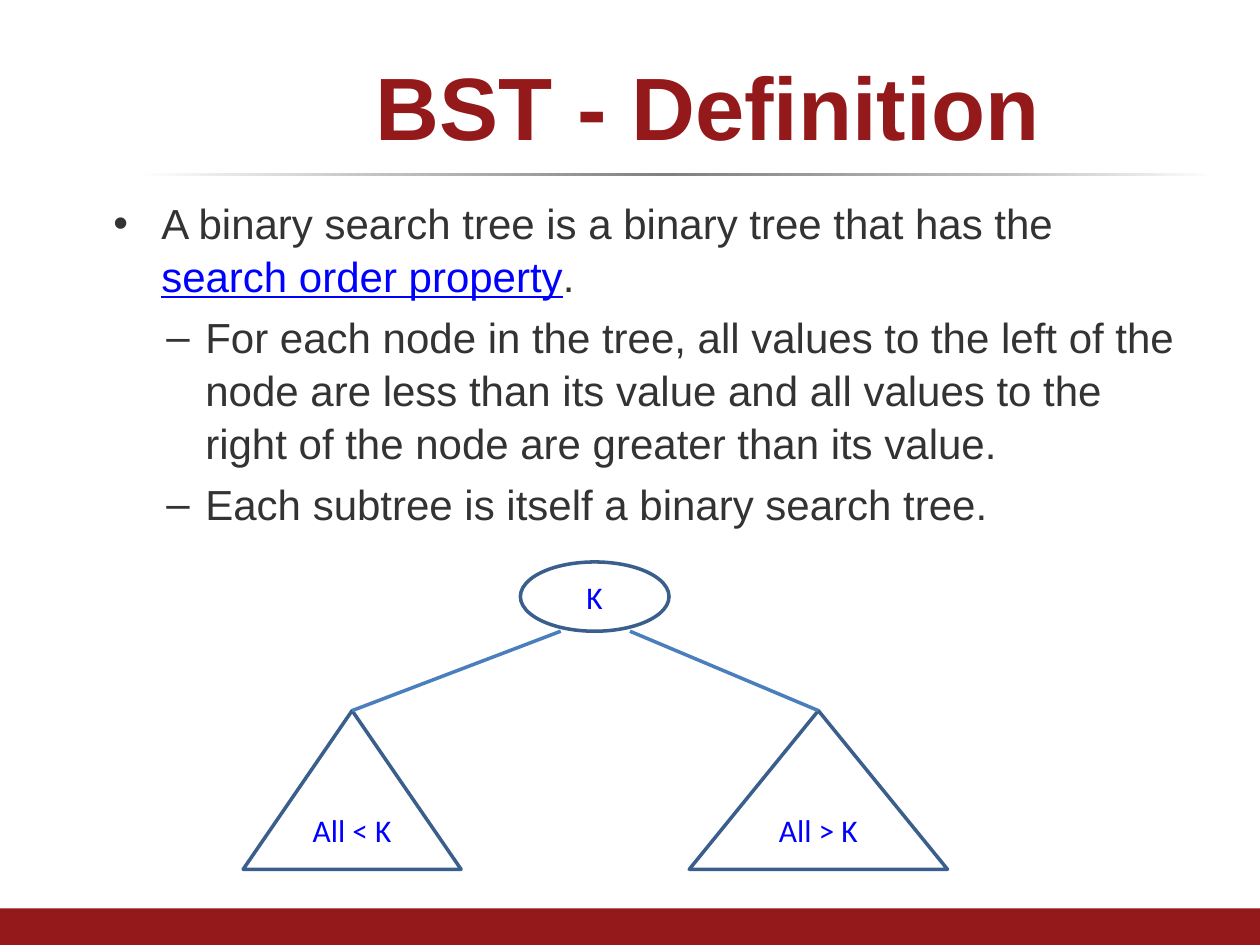
from dataclasses import dataclass

from lxml import etree
from pptx import Presentation
from pptx.dml.color import RGBColor
from pptx.enum import shapes, text
from pptx.oxml import ns
from pptx.util import Inches, Pt


@dataclass(frozen=True)
class Theme:
    heading_font: str = "Arial"
    label_font: str = "Calibri"
    title_size: float = 50.6
    body_size: float = 24
    label_size: float = 18
    line_width: float = 2
    red: str = "93191B"
    ink: str = "333333"
    blue: str = "0000FF"
    outline: str = "3A5F8C"
    branch: str = "4B7EBC"
    rule_stops: tuple = ((0, "FFFFFF"), (24, "BFBFBF"), (49, "808080"),
                         (80, "BFBFBF"), (100, "FFFFFF"))


def apply(target, values):
    for name, value in values.items():
        setattr(target, name, value)


def add_xml(parent, tag, **attributes):
    return etree.SubElement(parent, ns.qn(tag), attributes)


class SlideBuilder:
    def __init__(self, page, theme):
        self.page = page
        self.theme = theme

    def place(self, shape, area):
        names = ("left", "top", "width", "height")
        apply(shape, dict(zip(names, map(Inches, area))))

    def span(self, para, words, size, color, font, **values):
        span = para.add_run()
        span.text = words
        apply(span.font, {"size": Pt(size), "name": font, **values})
        span.font.color.rgb = RGBColor.from_string(color)

    def title(self, words, area):
        box = self.page.shapes.title
        self.place(box, area)
        frame = box.text_frame
        frame.vertical_anchor = text.MSO_ANCHOR.MIDDLE
        para = frame.paragraphs[0]
        para.alignment = text.PP_ALIGN.CENTER
        self.span(para, words, self.theme.title_size, self.theme.red,
                  self.theme.heading_font, bold=True)

    def body(self, items, area):
        box = self.page.placeholders[1]
        self.place(box, area)
        styles = (("•", 0.68, -0.38), ("–", 1.03, -0.31))
        for index, (level, pieces) in enumerate(items):
            frame = box.text_frame
            para = frame.add_paragraph() if index else frame.paragraphs[0]
            mark, margin, indent = styles[level]
            properties = para._p.get_or_add_pPr()
            properties.set("marL", str(Inches(margin)))
            properties.set("indent", str(Inches(indent)))
            add_xml(properties, "a:buFont", typeface=self.theme.heading_font)
            add_xml(properties, "a:buChar", char=mark)
            apply(para, {"level": level, "line_spacing": 1.05,
                         "space_before": Pt(4.8 if index else 0)})
            for words, color, underline in pieces:
                self.span(para, words, self.theme.body_size, color,
                          self.theme.heading_font, underline=underline)

    def shape(self, kind, area):
        shape = self.page.shapes.add_shape(kind, *map(Inches, area))
        shape.shadow.inherit = False
        return shape

    def band(self, area):
        band = self.shape(shapes.MSO_SHAPE.RECTANGLE, area)
        band.fill.solid()
        band.fill.fore_color.rgb = RGBColor.from_string(self.theme.red)
        band.line.fill.background()

    def rule(self, area):
        rule = self.shape(shapes.MSO_SHAPE.RECTANGLE, area)
        rule.line.fill.background()
        rule.fill.gradient()
        rule.fill.gradient_angle = 0
        stops = rule._element.spPr.find(ns.qn("a:gradFill")).find(ns.qn("a:gsLst"))
        for stop in list(stops):
            stops.remove(stop)
        for percent, color in self.theme.rule_stops:
            stop = add_xml(stops, "a:gs", pos=str(percent * 1000))
            add_xml(stop, "a:srgbClr", val=color)

    def stroke(self, line, color):
        line.color.rgb = RGBColor.from_string(color)
        line.width = Pt(self.theme.line_width)

    def node(self, kind, words, area):
        node = self.shape(kind, area)
        node.fill.background()
        self.stroke(node.line, self.theme.outline)
        frame = node.text_frame
        frame.vertical_anchor = text.MSO_ANCHOR.MIDDLE
        para = frame.paragraphs[0]
        para.alignment = text.PP_ALIGN.CENTER
        self.span(para, words, self.theme.label_size, self.theme.blue,
                  self.theme.label_font)
        return node

    def branch(self, start, subtree):
        x, y = map(Inches, start)
        branch = self.page.shapes.add_connector(
            shapes.MSO_CONNECTOR.STRAIGHT, x, y, x, y)
        branch.end_connect(subtree, 0)
        self.stroke(branch.line, self.theme.branch)
        add_xml(branch._element.spPr, "a:effectLst")


def main():
    deck = Presentation()
    deck.slide_width, deck.slide_height = Inches(10), Inches(7.5)
    theme = Theme()
    builder = SlideBuilder(deck.slides.add_slide(deck.slide_layouts[1]), theme)

    builder.rule((1.08, 1.37, 8.58, 0.03))
    builder.band((0, 7.21, 10, 0.29))
    builder.title("BST - Definition", (1.12, 0.3, 9, 1.07))
    builder.body([
        (0, [("A binary search tree is a binary tree that has the ", theme.ink, False),
             ("search order property", theme.blue, True),
             (".", theme.ink, False)]),
        (1, [("For each node in the tree, all values to the left of the node are "
              "less than its value and all values to the right of the node are "
              "greater than its value.", theme.ink, False)]),
        (1, [("Each subtree is itself a binary search tree.", theme.ink, False)]),
    ], (0.5, 1.5, 9, 5.67))

    builder.node(shapes.MSO_SHAPE.OVAL, "K", (4.13, 4.46, 1.18, 0.55))
    subtrees = (("All < K", 1.93, 1.73, 4.45), ("All > K", 5.47, 2.05, 5))
    for words, left, width, start in subtrees:
        subtree = builder.node(shapes.MSO_SHAPE.ISOSCELES_TRIANGLE, words,
                               (left, 5.64, width, 1.26))
        builder.branch((start, 5.01), subtree)

    deck.save("out.pptx")


if __name__ == "__main__":
    main()
